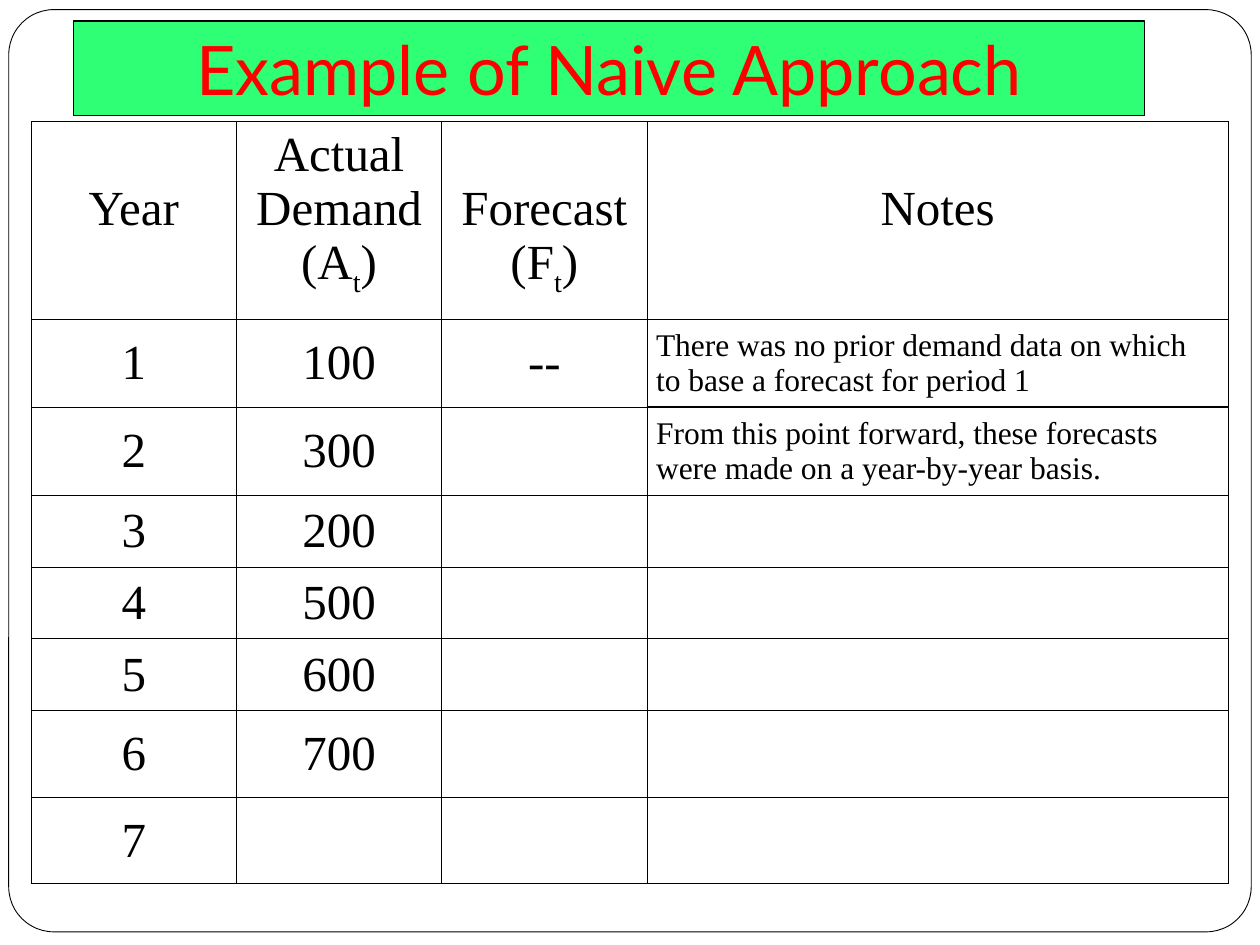
from lxml import etree
from pptx import Presentation
from pptx.dml.color import RGBColor
from pptx.enum.shapes import MSO_SHAPE
from pptx.enum.text import MSO_ANCHOR, PP_ALIGN
from pptx.oxml.ns import qn
from pptx.util import Pt

CENTER, LEFT = PP_ALIGN.CENTER, PP_ALIGN.LEFT
TOP, MIDDLE, BOTTOM = MSO_ANCHOR.TOP, MSO_ANCHOR.MIDDLE, MSO_ANCHOR.BOTTOM

COLORS = {"paper": "FFFFFF", "ink": "000000", "banner": "2FFF74", "title": "FF0000"}
TITLE = "Example of Naive Approach"
# Each header is a list of paragraphs, each paragraph a list of (text, is_subscript)
HEADERS = [
    [[("Year", False)]],
    [[("Actual Demand (A", False), ("t", True), (")", False)]],
    [[("Forecast", False)], [("(F", False), ("t", True), (")", False)]],
    [[("Notes", False)]],
]
ROWS = [
    ("1", "100", "--", "There was no prior demand data on which to base a forecast for period 1"),
    ("2", "300", "", "From this point forward, these forecasts were made on a year-by-year basis."),
    ("3", "200", "", ""),
    ("4", "500", "", ""),
    ("5", "600", "", ""),
    ("6", "700", "", ""),
    ("7", "", "", ""),
]
COLUMN_WIDTHS = [117.3, 117.3, 117.3, 332.2]
ROW_HEIGHTS = [113.1, 50.3, 50.3, 41, 41, 41, 49.5, 49.5]
TABLE_LEFT, TABLE_TOP = 17.8, 69.4
DEMAND, NOTES = 1, 3
HEADER_LINE = 31  # height of one header line
THIN, HEADER_RULE, NOTE_RULE = 0.45, 0.75, 1.47


def color(name):
    return RGBColor.from_string(COLORS[name])


def paint(shape, fill, line_width):
    shape.fill.solid()
    shape.fill.fore_color.rgb = color(fill)
    shape.line.color.rgb = color("ink")
    shape.line.width = Pt(line_width)


def add_run(paragraph, text, size, font_name, ink, subscript=False):
    run = paragraph.add_run()
    run.text = text
    run.font.size = Pt(size)
    run.font.name = font_name
    run.font.color.rgb = color(ink)
    if subscript:
        run.font._element.set("baseline", "-25000")


def rule_width(edge, column):
    """Width of the horizontal rule above row number `edge`."""
    if edge == 1:
        return HEADER_RULE
    return NOTE_RULE if (edge, column) == (2, NOTES) else THIN


def set_borders(cell, top, bottom):
    properties = cell._tc.get_or_add_tcPr()
    sides = [("a:lnL", THIN), ("a:lnR", THIN), ("a:lnT", top), ("a:lnB", bottom)]
    for position, (tag, width) in enumerate(sides):
        line = etree.Element(qn(tag), w=str(Pt(width)))
        fill = etree.SubElement(line, qn("a:solidFill"))
        etree.SubElement(fill, qn("a:srgbClr"), val=COLORS["ink"])
        properties.insert(position, line)


def fill_cell(cell, paragraphs, size, alignment):
    frame = cell.text_frame
    for index, runs in enumerate(paragraphs):
        paragraph = frame.add_paragraph() if index else frame.paragraphs[0]
        paragraph.alignment = alignment
        for text, subscript in runs:
            add_run(paragraph, text, size, "Times New Roman", "ink", subscript)


presentation = Presentation()
presentation.slide_width, presentation.slide_height = Pt(720), Pt(540)
slide = presentation.slides.add_slide(presentation.slide_layouts[5])

# Rounded page frame
frame_shape = slide.shapes.add_shape(
    MSO_SHAPE.ROUNDED_RECTANGLE, Pt(5), Pt(5.5), Pt(710), Pt(527))
frame_shape.adjustments[0] = 0.049
frame_shape.shadow.inherit = False
paint(frame_shape, "paper", 0.5)

# Demand and forecast table
table = slide.shapes.add_table(
    len(ROW_HEIGHTS), len(COLUMN_WIDTHS), Pt(TABLE_LEFT), Pt(TABLE_TOP),
    Pt(sum(COLUMN_WIDTHS)), Pt(sum(ROW_HEIGHTS))).table
table.first_row = table.horz_banding = False
for column, width in zip(table.columns, COLUMN_WIDTHS):
    column.width = Pt(width)
for row, height in zip(table.rows, ROW_HEIGHTS):
    row.height = Pt(height)

body = [[[[(text, False)]] if text else [] for text in row] for row in ROWS]
for row_index, row in enumerate([HEADERS] + body):
    for column_index, paragraphs in enumerate(row):
        cell = table.cell(row_index, column_index)
        is_header = row_index == 0
        is_note = column_index == NOTES and not is_header
        cell.fill.background()
        cell.margin_left = cell.margin_right = Pt(5.2)
        cell.margin_top = cell.margin_bottom = Pt(3.6)
        cell.vertical_anchor = TOP if is_header else MIDDLE
        if is_header and column_index != DEMAND:
            cell.margin_top = Pt(3.6 + HEADER_LINE)
        fill_cell(cell, paragraphs, 18 if is_note else 28, LEFT if is_note else CENTER)
        set_borders(cell, rule_width(row_index, column_index),
                    rule_width(row_index + 1, column_index))

# Title banner, in front
title = slide.shapes.title
title.left, title.top, title.width, title.height = Pt(42), Pt(12), Pt(612), Pt(54)
paint(title, "banner", 0.75)
title.text_frame.word_wrap = True
title.text_frame.vertical_anchor = BOTTOM
title_paragraph = title.text_frame.paragraphs[0]
title_paragraph.alignment = CENTER
add_run(title_paragraph, TITLE, 39, "Lato", "title")
slide.shapes._spTree.append(title._element)

presentation.save("out.pptx")
